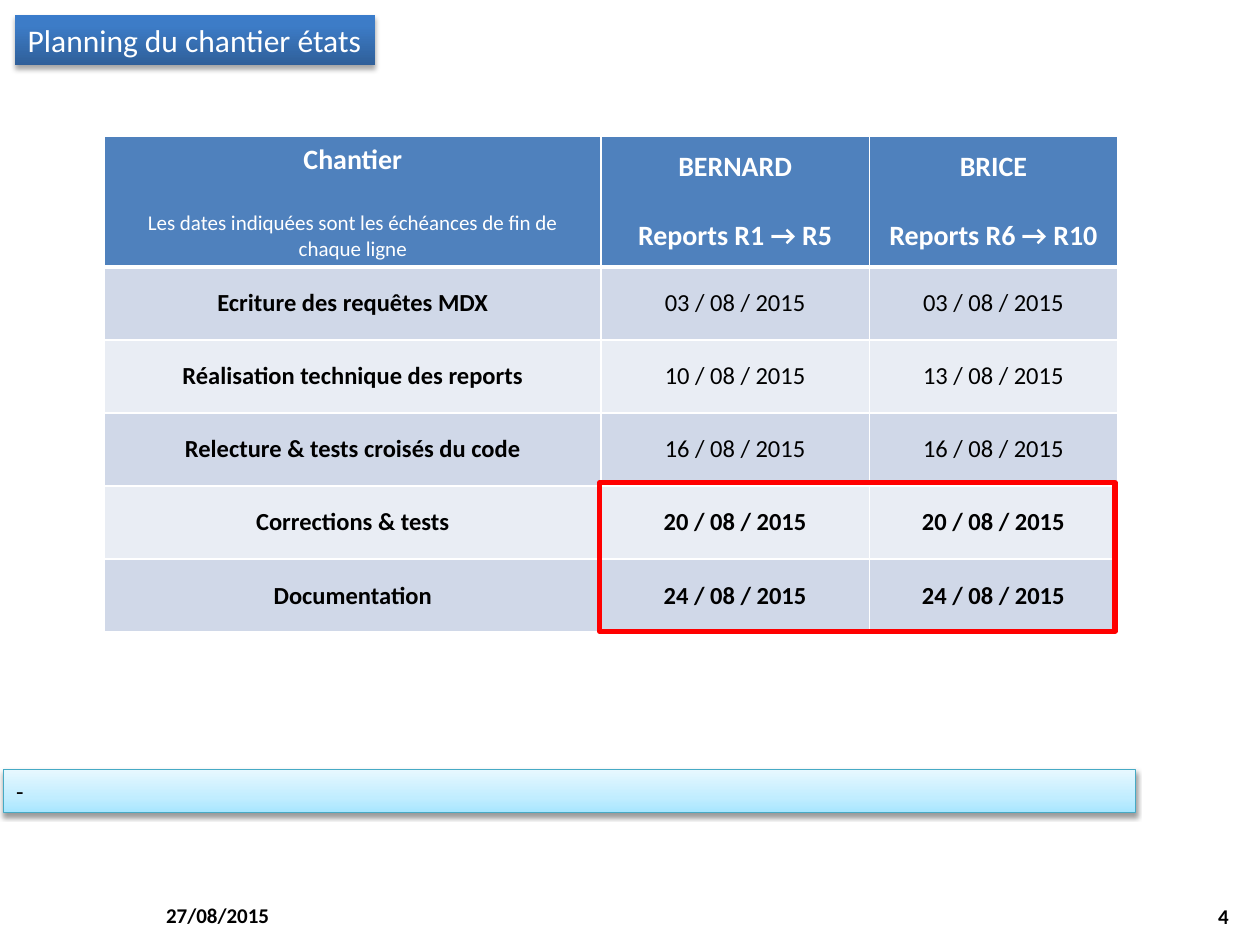
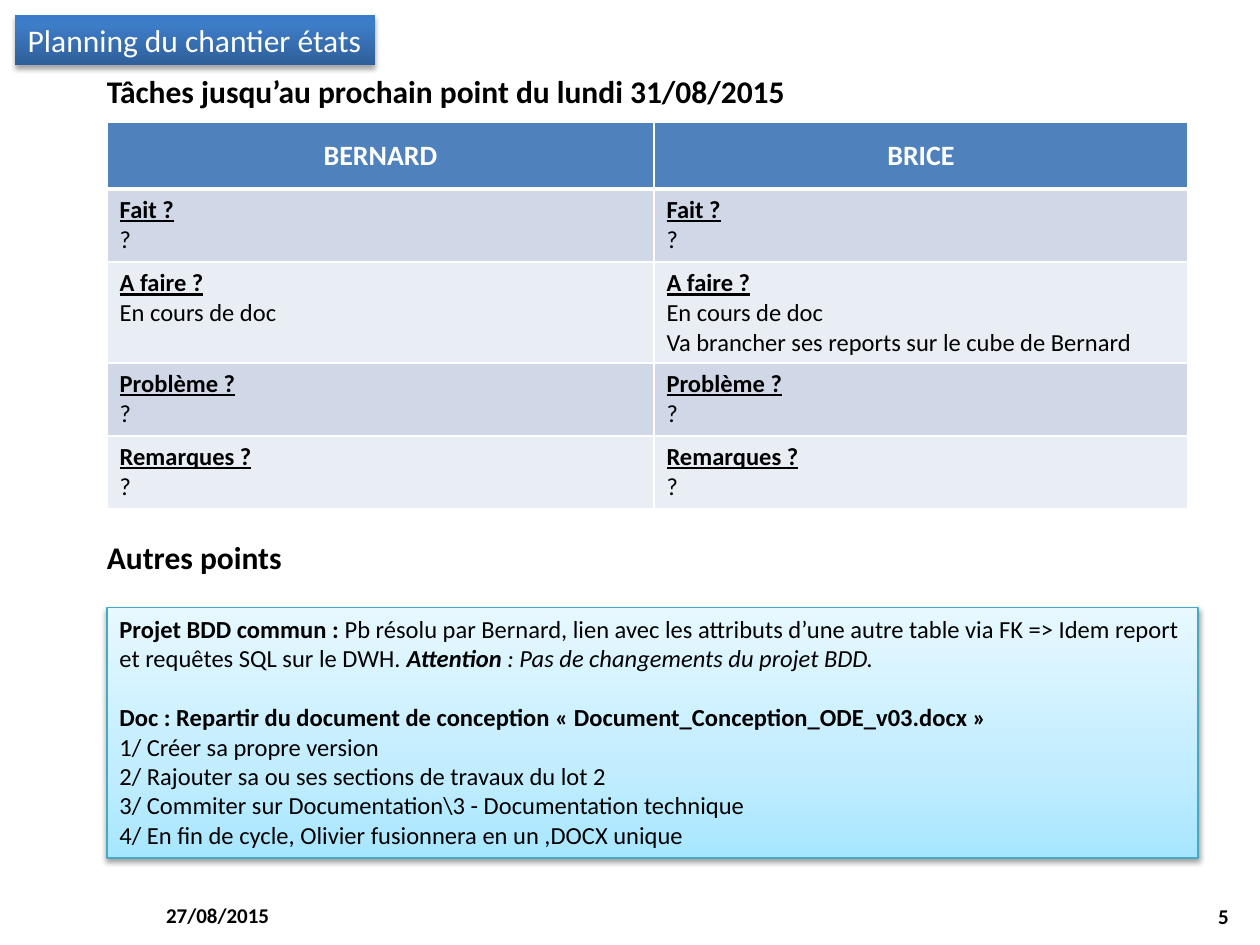
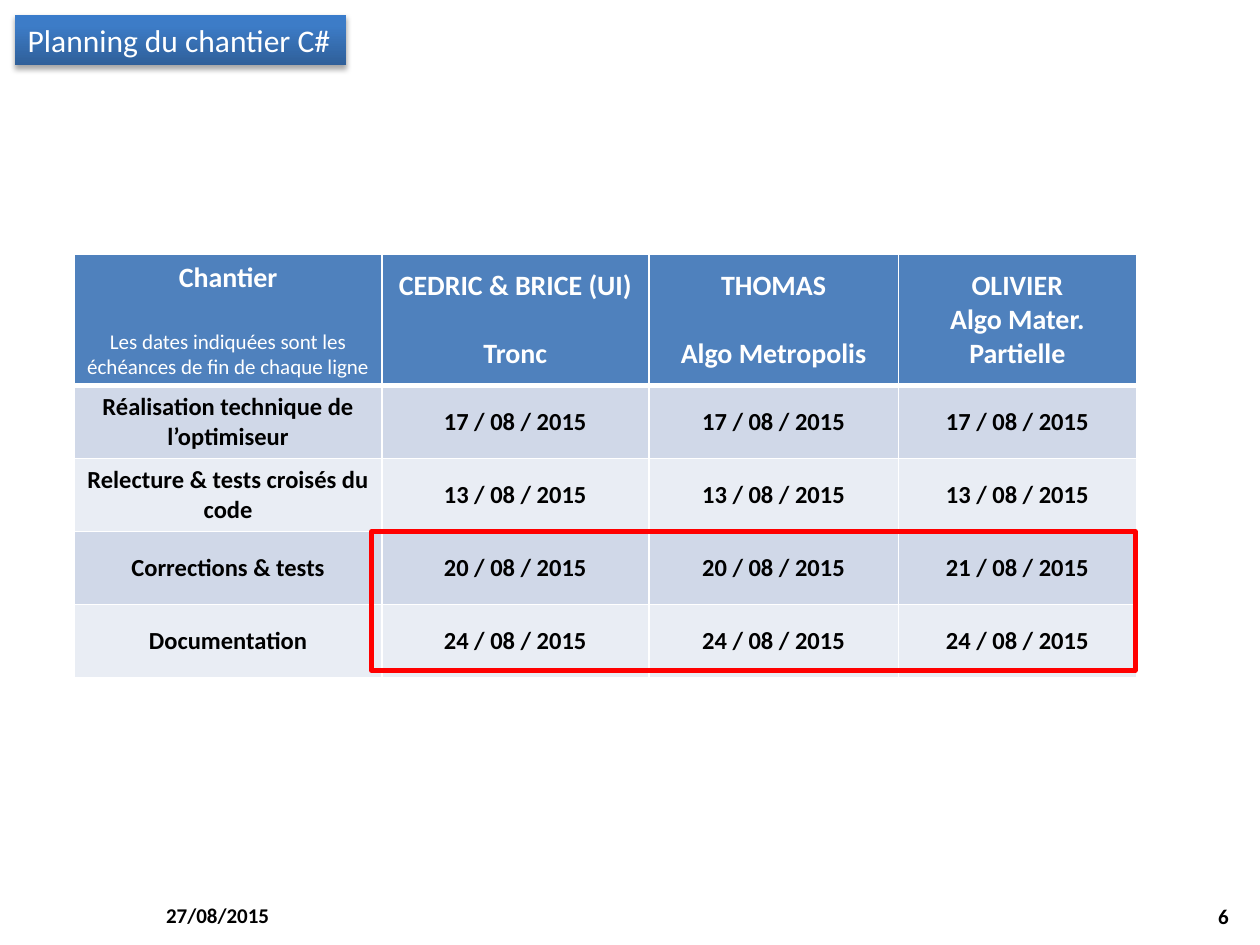
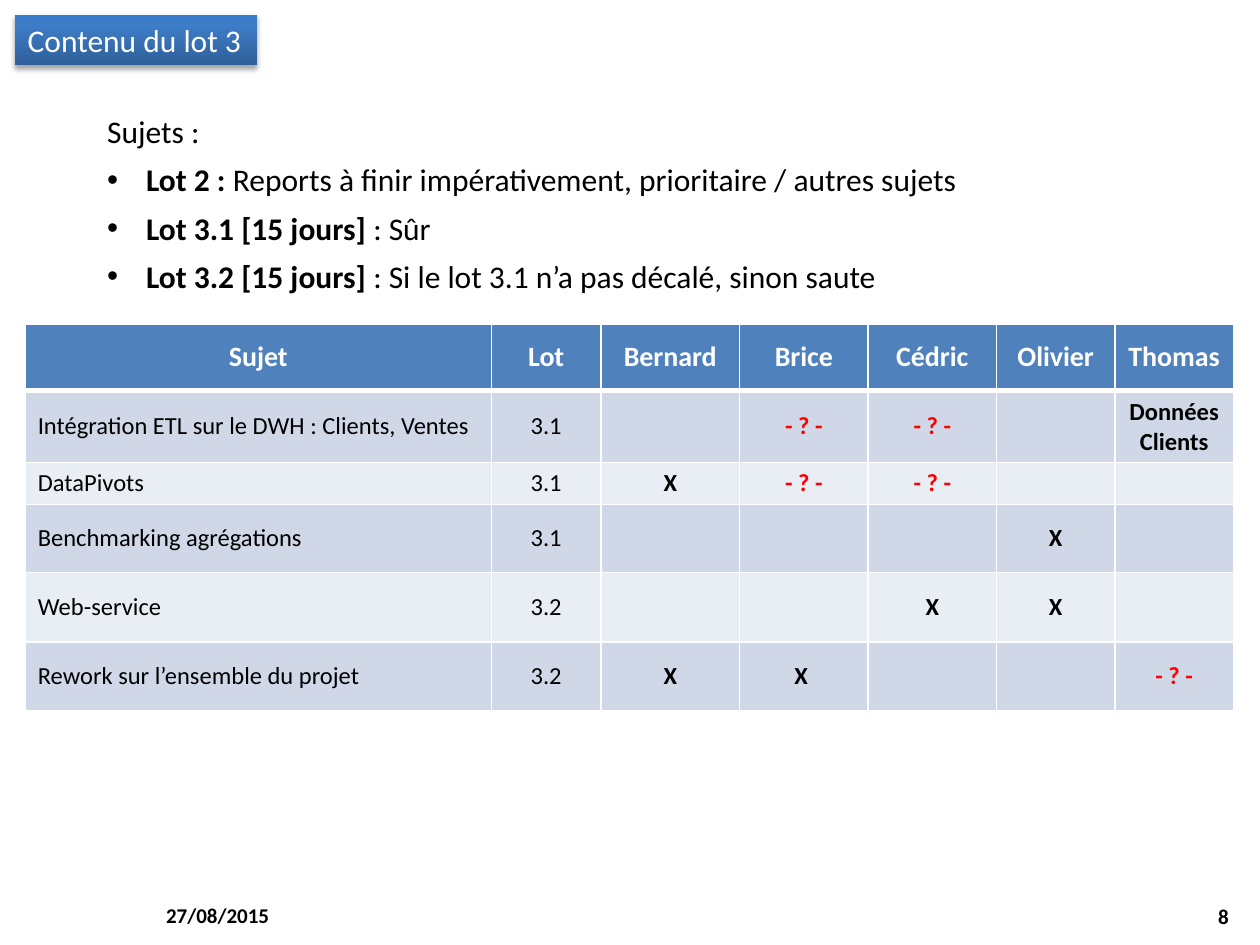
import pptx
import pptx.util
import pptx.oxml.ns
import pptx.dml.color
import pptx.enum.text
import pptx.enum.shapes
from lxml import etree

Inches, Pt = pptx.util.Inches, pptx.util.Pt
Align, Anchor = pptx.enum.text.PP_ALIGN, pptx.enum.text.MSO_ANCHOR
qn = pptx.oxml.ns.qn

HUES = {
    "ink": "000000", "white": "FFFFFF", "red": "FF0000", "head": "4F81BD",
    "odd": "D0D8E8", "even": "E9EDF4", "aqua": "46AAC5",
}
BLUE = [(0, "2F5F99"), (80, "3D7CC7"), (100, "3A7CCB")]
SKY = [(0, "A7E6FF"), (35, "C1EDFF"), (100, "E7F8FF")]
FONT = "Calibri"
DATE = "27/08/2015"

BOLD = {"bold": True}
LABEL = {"bold": True, "under": True}
LEAD = {"gap": 19.5}

CORNER = ["Chantier", [("Les dates indiquées sont les échéances de fin de chaque ligne",
                        {"size": 12, "bold": False, "gap": 19.5})]]


def below(name, topic):
    return [name, [(topic, LEAD)]]


def note(label, *lines):
    return [[(label, LABEL)], *lines]


REPORTS = [
    [CORNER, below("BERNARD", "Reports R1 → R5"), below("BRICE", "Reports R6 → R10")],
    ["Ecriture des requêtes MDX", "03 / 08 / 2015", "03 / 08 / 2015"],
    ["Réalisation technique des reports", "10 / 08 / 2015", "13 / 08 / 2015"],
    ["Relecture & tests croisés du code", "16 / 08 / 2015", "16 / 08 / 2015"],
    ["Corrections & tests", "20 / 08 / 2015", "20 / 08 / 2015"],
    ["Documentation", "24 / 08 / 2015", "24 / 08 / 2015"],
]

TASKS = [
    ["BERNARD", "BRICE"],
    [note("Fait ?", "?"), note("Fait ?", "?")],
    [note("A faire ?", "En cours de doc"),
     note("A faire ?", "En cours de doc", "Va brancher ses reports sur le cube de Bernard")],
    [note("Problème ?", "?"), note("Problème ?", "?")],
    [note("Remarques ?", "?"), note("Remarques ?", "?")],
]

POINTS = [
    [("Projet BDD commun : ", BOLD),
     ("Pb résolu par Bernard, lien avec les attributs d’une autre table via FK => "
      "Idem report et requêtes SQL sur le DWH. ", {}),
     ("Attention", {"bold": True, "slant": True}),
     (" : Pas de changements du projet BDD.", {"slant": True})],
    [("Doc : Repartir du document de conception « Document_Conception_ODE_v03.docx »",
      {"bold": True, "gap": 17})],
    "1/ Créer sa propre version",
    "2/ Rajouter sa ou ses sections de travaux du lot 2",
    "3/ Commiter sur Documentation\\3 - Documentation technique",
    "4/ En fin de cycle, Olivier fusionnera en un ,DOCX unique",
]

CODING = [
    [CORNER, below("CEDRIC & BRICE (UI)", "Tronc"), below("THOMAS", "Algo Metropolis"),
     ["OLIVIER", "Algo Mater. Partielle"]],
    ["Réalisation technique de l’optimiseur"] + ["17 / 08 / 2015"] * 3,
    ["Relecture & tests croisés du code"] + ["13 / 08 / 2015"] * 3,
    ["Corrections & tests", "20 / 08 / 2015", "20 / 08 / 2015", "21 / 08 / 2015"],
    ["Documentation"] + ["24 / 08 / 2015"] * 3,
]

TOPICS = [
    "Sujets :",
    [("Lot 2 : ", BOLD), ("Reports à finir impérativement, prioritaire / autres sujets", {})],
    [("Lot 3.1 [15 jours] ", BOLD), (": Sûr", {})],
    [("Lot 3.2 [15 jours] ", BOLD), (": Si le lot 3.1 n’a pas décalé, sinon saute", {})],
]

MAYBE = "- ? -"
LOTS = [
    ["Sujet", "Lot", "Bernard", "Brice", "Cédric", "Olivier", "Thomas"],
    ["Intégration ETL sur le DWH : Clients, Ventes", "3.1", "", MAYBE, MAYBE, "",
     "Données Clients"],
    ["DataPivots", "3.1", "X", MAYBE, MAYBE, "", ""],
    ["Benchmarking agrégations", "3.1", "", "", "", "X", ""],
    ["Web-service", "3.2", "", "", "X", "X", ""],
    ["Rework sur l’ensemble du projet", "3.2", "X", "X ", "", "", MAYBE],
]


def rgb(name):
    return pptx.dml.color.RGBColor.from_string(HUES[name])


def node(root, tag, **attrs):
    return etree.SubElement(root, qn(tag), **{k: str(v) for k, v in attrs.items()})


def write(frame, paras, size=14, color="ink", bold=False, slant=False, under=False,
          align=Align.LEFT, anchor=Anchor.TOP, gap=0, after=0, bullet=None):
    paras = [paras] if isinstance(paras, str) else paras
    frame.word_wrap = True
    frame.vertical_anchor = anchor
    for i, runs in enumerate(paras):
        runs = [(runs, {})] if isinstance(runs, str) else runs
        para = frame.paragraphs[0] if i == 0 else frame.add_paragraph()
        para.alignment = align
        para.space_before = Pt(runs[0][1].get("gap", gap) if i else 0)
        para.space_after = Pt(after)
        if bullet:
            props = para._p.get_or_add_pPr()
            dent = Inches(0.31) if i else 0
            props.set("marL", str(dent))
            props.set("indent", str(-dent))
            if i:
                node(props, "a:buChar", char=bullet)
            else:
                node(props, "a:buNone")
        for text, own in runs:
            if not text:
                node(para._p, "a:endParaRPr", sz=size * 100)
                continue
            run = para.add_run()
            run.text = text
            font = run.font
            font.name = FONT
            font.size = Pt(own.get("size", size))
            font.bold = own.get("bold", bold)
            font.italic = own.get("slant", slant)
            font.underline = own.get("under", under)
            font.color.rgb = rgb(color)


def place(shape, at):
    shape.left, shape.top, shape.width, shape.height = map(Inches, at)


def label(slide, at, text, **fmt):
    frame = slide.shapes.add_textbox(*map(Inches, at)).text_frame
    write(frame, text, **fmt)
    return frame


def shade(shape, stops, alpha, dist):
    grad = node(shape._element.spPr, "a:gradFill", rotWithShape=1)
    marks = node(grad, "a:gsLst")
    for pos, hue in stops:
        node(node(marks, "a:gs", pos=pos * 1000), "a:srgbClr", val=hue)
    node(grad, "a:lin", ang=270 * 60000, scaled=0)
    shape.shadow.inherit = False
    glow = node(shape._element.spPr.find(qn("a:effectLst")), "a:outerShdw",
                blurRad=Pt(3.1), dist=Pt(dist), dir=90 * 60000, rotWithShape=0)
    node(node(glow, "a:srgbClr", val=HUES["ink"]), "a:alpha", val=alpha * 1000)


def box(slide, at):
    shape = slide.shapes.add_shape(pptx.enum.shapes.MSO_SHAPE.RECTANGLE, *map(Inches, at))
    return shape


def panel(slide, at, text):
    shape = box(slide, at)
    shade(shape, SKY, 38, 1.6)
    shape.line.color.rgb = rgb("aqua")
    shape.line.width = Pt(0.75)
    write(shape.text_frame, text)


def outline(slide, at):
    shape = box(slide, at)
    shape.shadow.inherit = False
    shape.fill.background()
    shape.line.color.rgb = rgb("red")
    shape.line.width = Pt(3)


def edge(cell, row):
    props = cell._tc.get_or_add_tcPr()
    wide = {0: "a:lnB", 1: "a:lnT"}.get(row)
    for tag in ("a:lnL", "a:lnR", "a:lnT", "a:lnB"):
        line = node(props, tag, w=Pt(3 if tag == wide else 1))
        node(node(line, "a:solidFill"), "a:srgbClr", val=HUES["white"])


def grid(slide, spot, cols, rows, cells, look):
    size = (sum(cols), sum(rows))
    table = slide.shapes.add_table(len(rows), len(cols), *map(Inches, spot + size)).table
    table.horz_banding = False
    for c, width in enumerate(cols):
        table.columns[c].width = Inches(width)
    for r, height in enumerate(rows):
        table.rows[r].height = Inches(height)
        for c, text in enumerate(cells[r]):
            cell = table.cell(r, c)
            edge(cell, r)
            cell.fill.solid()
            cell.fill.fore_color.rgb = rgb("head" if r == 0 else "odd" if r % 2 else "even")
            fmt = {"align": Align.CENTER, "anchor": Anchor.MIDDLE}
            if r == 0:
                fmt.update(size=16, color="white", bold=True)
            else:
                fmt.update(look(r, c, text))
            write(cell.text_frame, text, **fmt)
            cell.vertical_anchor = fmt["anchor"]


def start(deck, title, width, page, layout=5):
    slide = deck.slides.add_slide(deck.slide_layouts[layout])
    head = slide.shapes.title
    place(head, (0.12, 0.12, width, 0.4))
    shade(head, BLUE, 35, 1.8)
    write(head.text_frame, title, size=18, color="white")
    head.text_frame.auto_size = pptx.enum.text.MSO_AUTO_SIZE.NONE
    head.text_frame.margin_right = 0
    foot = {"size": 12, "bold": True, "anchor": Anchor.MIDDLE}
    label(slide, (1.22, 7.06, 2.33, 0.4), DATE, **foot)
    label(slide, (7.52, 7.07, 2.33, 0.4), str(page), align=Align.RIGHT, **foot)
    return slide


def reports(deck):
    slide = start(deck, "Planning du chantier états", 2.86, 4)
    grid(slide, (0.83, 1.08), [3.94, 2.13, 1.97], [1.02] + [0.58] * 5, REPORTS,
         lambda r, c, text: {"bold": c == 0 or r > 3})
    outline(slide, (4.76, 3.83, 4.09, 1.18))
    panel(slide, (0.03, 6.11, 8.98, 0.34), "-")


def tasks(deck):
    slide = start(deck, "Planning du chantier états", 2.86, 5)
    grid(slide, (0.85, 0.97), [4.34, 4.24], [0.53, 0.58, 0.8, 0.58, 0.58], TASKS,
         lambda r, c, text: {"align": Align.LEFT, "anchor": Anchor.TOP})
    heads = [(0.52, 5.63, "Tâches jusqu’au prochain point du lundi 31/08/2015"),
             (4.22, 1.6, "Autres points")]
    for top, width, text in heads:
        frame = label(slide, (0.75, top, width, 0.4), text, size=18, bold=True, after=3)
        frame.margin_right = 0
    panel(slide, (0.85, 4.82, 8.66, 1.99), POINTS)


def coding(deck):
    slide = start(deck, "Planning du chantier C#", 2.63, 6)
    grid(slide, (0.59, 2.02), [2.44, 2.12, 1.98, 1.89], [1.02] + [0.58] * 4, CODING,
         lambda r, c, text: BOLD)
    outline(slide, (2.95, 4.22, 6.06, 1.1))


def mark(r, c, text):
    return {
        "align": Align.CENTER if c else Align.LEFT,
        "bold": c > 1,
        "color": "red" if text == MAYBE else "ink",
    }


def lots(deck):
    slide = start(deck, "Contenu du lot 3", 1.92, 8, layout=1)
    body = slide.placeholders[1]
    place(body, (0.75, 0.84, 7.1, 1.57))
    write(body.text_frame, TOPICS, size=18, gap=3, after=3, bullet="•")
    body.text_frame.auto_size = pptx.enum.text.MSO_AUTO_SIZE.NONE
    grid(slide, (0.2, 2.57), [3.7, 0.87, 1.1, 1.02, 1.02, 0.94, 0.94],
         [0.53, 0.57, 0.33, 0.54, 0.55, 0.55], LOTS, mark)


def main():
    deck = pptx.Presentation()
    deck.slide_width, deck.slide_height = Inches(10), Inches(7.5)
    for build in (reports, tasks, coding, lots):
        build(deck)
    deck.save("out.pptx")


if __name__ == "__main__":
    main()
